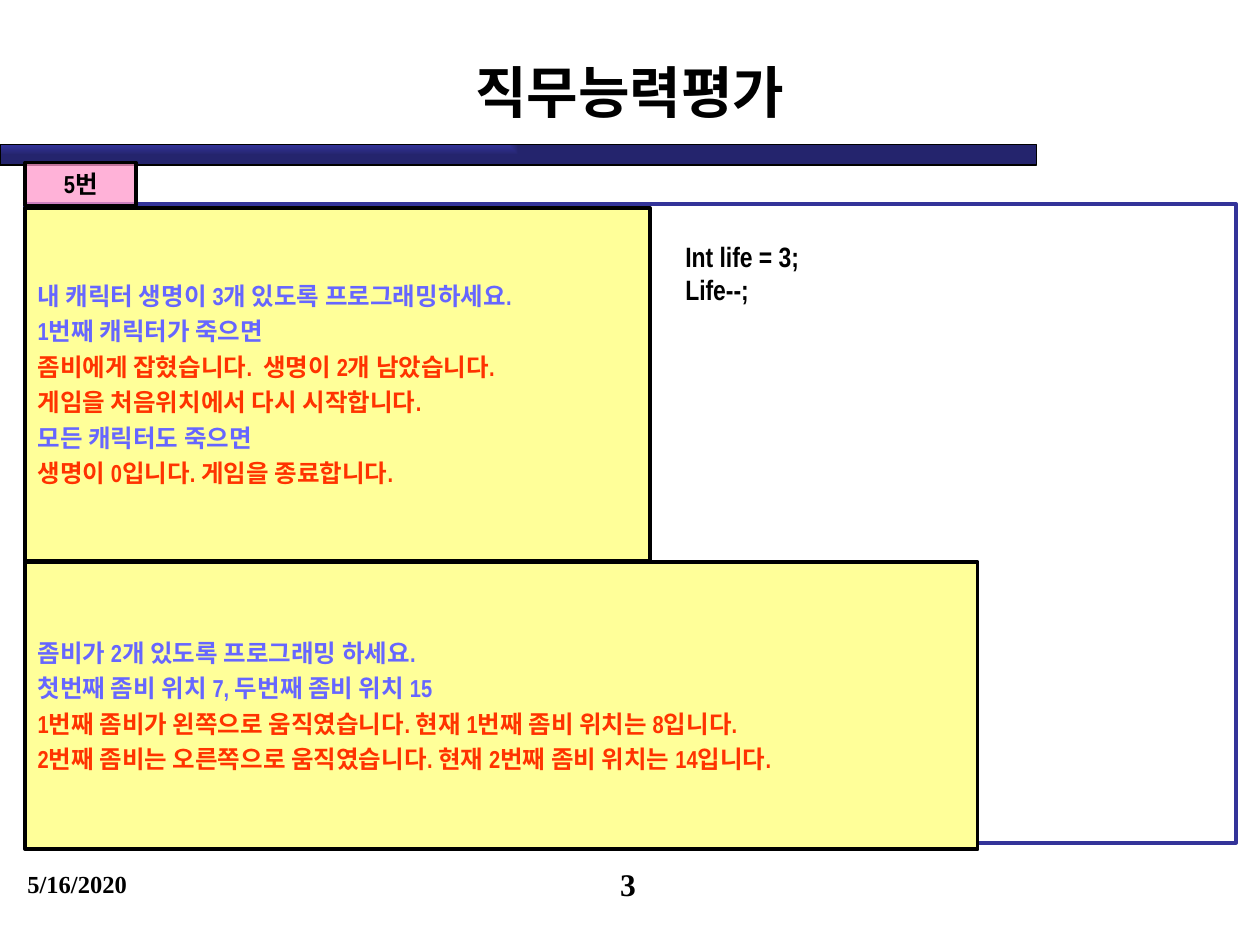
from dataclasses import dataclass
from typing import Optional

from lxml import etree
from pptx import Presentation
from pptx import util as u
from pptx.dml import color
from pptx.enum import shapes, text
from pptx.oxml import ns

BLACK = "000000"
NAVY = "333399"
YELLOW = "FFFF99"
QUESTION = "6666FF"
MESSAGE = "FF3300"
SANS = "Arial Narrow"
SERIF = "Times New Roman"
LEFT = text.PP_ALIGN.LEFT
CENTER = text.PP_ALIGN.CENTER
TOP = text.MSO_ANCHOR.TOP
MIDDLE = text.MSO_ANCHOR.MIDDLE


@dataclass
class Area:
    left: float
    top: float
    width: float
    height: float

    def lengths(self) -> list:
        return [u.Pt(n) for n in (self.left, self.top, self.width, self.height)]


@dataclass
class Line:
    content: str
    colour: str = BLACK


@dataclass
class Panel:
    area: Area
    lines: list[Line]


@dataclass
class Label:
    area: Area
    lines: list[Line]
    size: float
    font: str
    align: text.PP_ALIGN = LEFT
    wrap: bool = True


BAR = Area(0, 82.8, 592.5, 11.5)
FRAME = Area(14.4, 116.6, 692, 365)
TAG = Area(14.4, 92.9, 63.4, 24.5)
TITLE = Area(36, 21.6, 648, 61.2)

PANELS = [
    Panel(Area(14.4, 118.8, 357.1, 201.6), [
        Line("내 캐릭터 생명이 3개 있도록 프로그래밍하세요.", QUESTION),
        Line("1번째 캐릭터가 죽으면", QUESTION),
        Line("좀비에게 잡혔습니다.  생명이 2개 남았습니다.", MESSAGE),
        Line("게임을 처음위치에서 다시 시작합니다.", MESSAGE),
        Line("모든 캐릭터도 죽으면", QUESTION),
        Line("생명이 0입니다. 게임을 종료합니다.", MESSAGE),
    ]),
    Panel(Area(14.4, 321.1, 544.3, 164.2), [
        Line("좀비가 2개 있도록 프로그래밍 하세요.", QUESTION),
        Line("첫번째 좀비 위치 7, 두번째 좀비 위치 15", QUESTION),
        Line("1번째 좀비가 왼쪽으로 움직였습니다. 현재 1번째 좀비 위치는 8입니다.", MESSAGE),
        Line("2번째 좀비는 오른쪽으로 움직였습니다. 현재 2번째 좀비 위치는 14입니다.", MESSAGE),
    ]),
]

LABELS = [
    Label(Area(8.6, 493.2, 167.8, 37.4), [Line("5/16/2020")], 14, SERIF),
    Label(Area(275, 491, 167.8, 37.4), [Line("3")], 18, SERIF, CENTER),
    Label(Area(384.5, 133.2, 79.9, 46.1),
          [Line("Int life = 3;"), Line("Life--;")], 16, SANS, wrap=False),
]


def rgb(value: str) -> color.RGBColor:
    return color.RGBColor.from_string(value)


def write(shape, lines: list[Line], *, size: float, font: str = SANS,
          align=LEFT, anchor=TOP, before: float = 0, wrap: bool = True) -> None:
    frame = shape.text_frame
    frame.word_wrap = wrap
    frame.vertical_anchor = anchor
    for index, line in enumerate(lines):
        paragraph = frame.add_paragraph() if index else frame.paragraphs[0]
        paragraph.alignment = align
        paragraph.space_before = u.Pt(before)
        run = paragraph.add_run()
        run.text = line.content
        run.font.name = font
        run.font.size = u.Pt(size)
        run.font.bold = True
        run.font.color.rgb = rgb(line.colour)


def add_rectangle(slide, area: Area, *, fill: Optional[str] = None,
                  line: str = BLACK, weight: float = 2):
    shape = slide.shapes.add_shape(shapes.MSO_SHAPE.RECTANGLE, *area.lengths())
    shape.shadow.inherit = False
    if fill:
        shape.fill.solid()
        shape.fill.fore_color.rgb = rgb(fill)
    else:
        shape.fill.background()
    shape.line.color.rgb = rgb(line)
    shape.line.width = u.Pt(weight)
    return shape


def shade_from_corner(shape, start: str, end: str) -> None:
    shape.fill.gradient()
    for stop, value in zip(shape.fill.gradient_stops, (start, end)):
        stop.color.rgb = rgb(value)
    linear = shape.element.spPr.find(".//" + ns.qn("a:lin"))
    corner = etree.Element(ns.qn("a:path"), {"path": "rect"})
    etree.SubElement(corner, ns.qn("a:fillToRect"), r="100000", b="100000")
    linear.getparent().replace(linear, corner)


def set_opacity(shape, percent: int) -> None:
    fill_colour = shape.element.spPr.find(ns.qn("a:solidFill"))[0]
    etree.SubElement(fill_colour, ns.qn("a:alpha"), val=str(percent * 1000))


def add_label(slide, label: Label) -> None:
    box = slide.shapes.add_textbox(*label.area.lengths())
    write(box, label.lines, size=label.size, font=label.font,
          align=label.align, wrap=label.wrap)


def add_panel(slide, panel: Panel) -> None:
    shape = add_rectangle(slide, panel.area, fill=YELLOW)
    write(shape, panel.lines, size=14, anchor=MIDDLE, before=3.5)


def main() -> None:
    presentation = Presentation()
    presentation.slide_width = u.Pt(720)
    presentation.slide_height = u.Pt(540)
    slide = presentation.slides.add_slide(presentation.slide_layouts[5])

    title = slide.shapes.title
    title.left, title.top, title.width, title.height = TITLE.lengths()
    write(title, [Line("직무능력평가")], size=32, font="Noto Sans CJK KR",
          align=CENTER, anchor=MIDDLE)

    bar = add_rectangle(slide, BAR, weight=0.75)
    shade_from_corner(bar, NAVY, "24246D")
    add_rectangle(slide, FRAME, line=NAVY, weight=2.25)

    tag = add_rectangle(slide, TAG, fill="FF99CC")
    set_opacity(tag, 75)
    write(tag, [Line("5번")], size=14, align=CENTER)

    for panel in PANELS:
        add_panel(slide, panel)
    for label in LABELS:
        add_label(slide, label)

    presentation.save("out.pptx")


if __name__ == "__main__":
    main()
